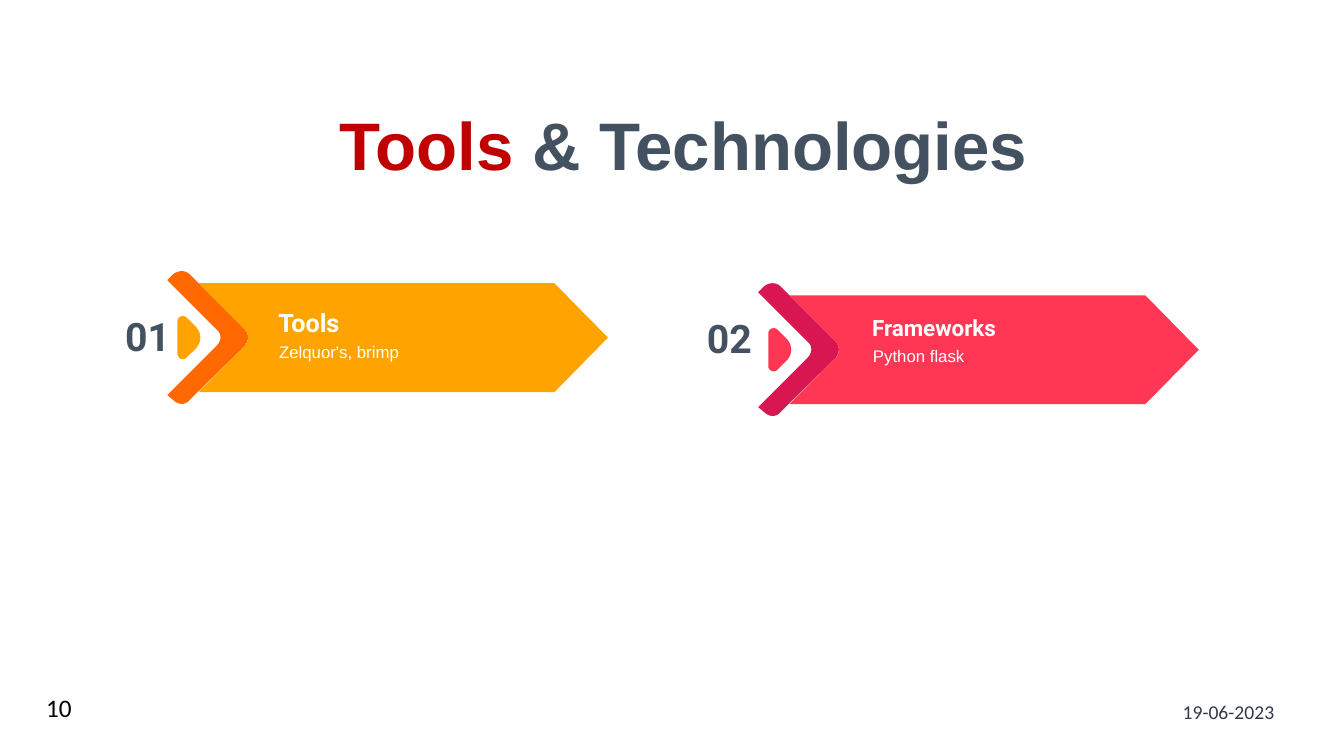
from dataclasses import dataclass

from pptx import Presentation
from pptx.dml.color import RGBColor
from pptx.enum import text as txt
from pptx.util import Inches, Pt

WHITE = RGBColor(0xFF, 0xFF, 0xFF)
BLACK = RGBColor(0, 0, 0)
SLATE = RGBColor(0x43, 0x51, 0x61)
INK = RGBColor(0x2F, 0x3A, 0x46)
RED = RGBColor(0xC0, 0, 0)
ORANGE = RGBColor(0xFF, 0x67, 0)
AMBER = RGBColor(0xFF, 0xA3, 0)
PLUM = RGBColor(0xD8, 0x16, 0x52)
PINK = RGBColor(0xFF, 0x36, 0x54)

LEFT, MID = txt.PP_ALIGN.LEFT, txt.PP_ALIGN.CENTER
TOP, HALF = txt.MSO_ANCHOR.TOP, txt.MSO_ANCHOR.MIDDLE

# Outlines in inches from the banner's left end and middle line:
# two numbers are a line's end, six are a curve
CHEVRON = [
    (.77, .08), (.22, .62), (.18, .67, .11, .67, .06, .62), (0, .57),
    (.49, .08), (.54, .03, .54, -.04, .49, -.08), (0, -.57), (.06, -.63),
    (.11, -.67, .18, -.67, .22, -.63), (.77, -.08),
    (.81, -.04, .81, .03, .77, .08),
]
TAB = [
    (.29, -.1), (.19, -.2), (.16, -.23, .1, -.21, .1, -.16), (.1, .16),
    (.1, .21, .16, .23, .19, .2), (.29, .1), (.34, .04, .34, -.04, .29, -.1),
]
BODY = [
    (3.84, -.54), (.31, -.54), (.77, -.08), (.79, -.06, .8, -.03, .8, 0),
    (.8, .03, .79, .06, .77, .08), (.31, .54), (3.84, .54), (4.37, 0),
]
STEPS = 8  # straight pieces per curve


@dataclass
class Label:
    text: str
    at: tuple[float, float, float, float]
    size: int
    color: RGBColor
    font: str = "Roboto"
    bold: bool = True
    align: txt.PP_ALIGN = LEFT
    anchor: txt.MSO_ANCHOR = HALF
    pad: tuple[float, float] = (0, 0)


@dataclass
class Banner:
    x: float
    y: float
    dark: RGBColor
    light: RGBColor


def flatten(path: list[tuple]) -> list[tuple[float, float]]:
    """Turn lines and cubic curves into a list of points."""
    pts = [path[0]]
    for seg in path[1:]:
        if len(seg) == 2:
            pts.append(seg)
            continue
        ends = [pts[-1], seg[:2], seg[2:4], seg[4:]]
        for i in range(1, STEPS + 1):
            t = i / STEPS
            mix = ((1 - t) ** 3, 3 * t * (1 - t) ** 2,
                   3 * t * t * (1 - t), t ** 3)
            pts.append(tuple(sum(m * p[k] for m, p in zip(mix, ends))
                             for k in (0, 1)))
    return pts


def style(run, size: int, color: RGBColor, font: str, bold: bool) -> None:
    look = {"size": Pt(size), "name": font, "bold": bold}
    for key, val in look.items():
        setattr(run.font, key, val)
    run.font.color.rgb = color


def place(shape, at: tuple[float, float, float, float]) -> None:
    for key, val in zip(("left", "top", "width", "height"), at):
        setattr(shape, key, Inches(val))


def set_frame(frame, anchor: txt.MSO_ANCHOR, pad: tuple[float, float]) -> None:
    side, edge = map(Inches, pad)
    look = {"word_wrap": True, "vertical_anchor": anchor,
            "margin_left": side, "margin_right": side,
            "margin_top": edge, "margin_bottom": edge}
    for key, val in look.items():
        setattr(frame, key, val)


def draw_banner(slide, ban: Banner) -> None:
    group = slide.shapes.add_group_shape()
    parts = ((CHEVRON, ban.dark), (TAB, ban.light), (BODY, ban.light))
    for path, color in parts:
        pts = [(Inches(ban.x + x), Inches(ban.y + y)) for x, y in flatten(path)]
        pen = group.shapes.build_freeform(*pts[0])
        pen.add_line_segments(pts[1:], close=True)
        shape = pen.convert_to_shape()
        shape.shadow.inherit = False
        shape.fill.solid()
        shape.fill.fore_color.rgb = color
        shape.line.fill.background()


def draw_label(slide, lab: Label) -> None:
    box = slide.shapes.add_textbox(*map(Inches, lab.at))
    set_frame(box.text_frame, lab.anchor, lab.pad)
    para = box.text_frame.paragraphs[0]
    para.alignment = lab.align
    run = para.add_run()
    run.text = lab.text
    style(run, lab.size, lab.color, lab.font, lab.bold)


def draw_title(slide) -> None:
    title = slide.shapes.title
    place(title, (.68, 1.12, 12.2, .72))
    set_frame(title.text_frame, HALF, (0, 0))
    para = title.text_frame.paragraphs[0]
    para.alignment, para.line_spacing = MID, .9
    for words, color in (("Tools ", RED), ("& Technologies", SLATE)):
        run = para.add_run()
        run.text = words
        style(run, 48, color, "Arial", True)


PAD = (.1, .05)
BANNERS = [Banner(1.66, 3.35, ORANGE, AMBER), Banner(7.52, 3.47, PLUM, PINK)]
LABELS = [
    # First banner
    Label("Tools", (2.76, 3.05, 2.21, .3), 18, WHITE),
    Label("Zelquor's, brimp", (2.67, 3.34, 2.41, .3), 12, WHITE, "Arial",
          False, anchor=TOP, pad=PAD),
    Label("01", (1.15, 3.1, .63, .47), 28, SLATE, align=MID),
    # Second banner
    Label("Frameworks", (8.65, 3.11, 2.21, .27), 16, WHITE),
    Label("Python flask", (8.56, 3.38, 2.41, .3), 12, WHITE, "Arial",
          False, anchor=TOP, pad=PAD),
    Label("02", (6.92, 3.12, .63, .47), 28, SLATE, align=MID),
    # Footer
    Label("10", (.36, 6.82, .48, .43), 18, BLACK, "Calibri", False,
          anchor=TOP, pad=PAD),
    Label("19-06-2023", (11.4, 6.85, 1.57, .43), 14, INK, "Calibri", False,
          align=MID, pad=PAD),
]


def main() -> None:
    deck = Presentation()
    deck.slide_width, deck.slide_height = Inches(13.33), Inches(7.5)
    slide = deck.slides.add_slide(deck.slide_layouts[5])
    draw_title(slide)
    for ban in BANNERS:
        draw_banner(slide, ban)
    for lab in LABELS:
        draw_label(slide, lab)
    deck.save("out.pptx")


if __name__ == "__main__":
    main()
